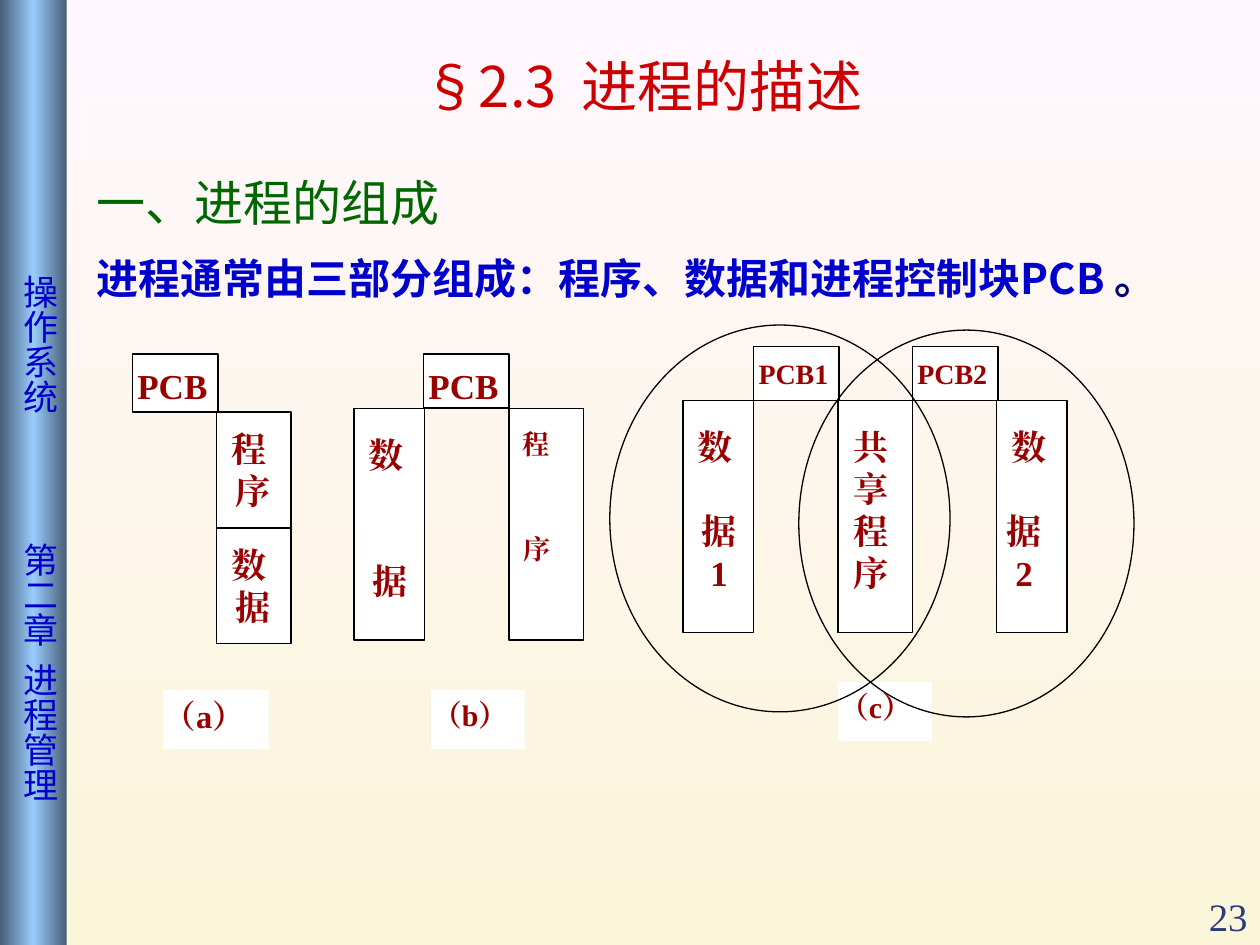
"""Build the slide on process composition with three PCB layout diagrams."""
from copy import deepcopy

from lxml import etree
from pptx import Presentation
from pptx.dml.color import RGBColor
from pptx.enum.shapes import MSO_SHAPE
from pptx.enum.text import MSO_ANCHOR, PP_ALIGN
from pptx.oxml.ns import qn
from pptx.util import Inches, Pt

RECTANGLE, OVAL = MSO_SHAPE.RECTANGLE, MSO_SHAPE.OVAL
LEFT, CENTER, RIGHT = PP_ALIGN.LEFT, PP_ALIGN.CENTER, PP_ALIGN.RIGHT
TOP, BOTTOM = MSO_ANCHOR.TOP, MSO_ANCHOR.BOTTOM
BLACK = RGBColor(0x00, 0x00, 0x00)
WHITE = RGBColor(0xFF, 0xFF, 0xFF)
PINK = RGBColor(0xFF, 0xF7, 0xFD)
CREAM = RGBColor(0xFB, 0xF5, 0xD9)
STEEL = RGBColor(0x47, 0x5E, 0x76)
SKY = RGBColor(0x99, 0xCC, 0xFF)
BLUE = RGBColor(0x00, 0x00, 0xCC)
NAVY = RGBColor(0x00, 0x00, 0x66)
SLATE = RGBColor(0x2A, 0x3D, 0x7A)
RED = RGBColor(0xCC, 0x00, 0x00)
MAROON = RGBColor(0x99, 0x00, 0x00)
GREEN = RGBColor(0x00, 0x66, 0x00)
SERIF, SANS = "Times New Roman", "Noto Sans CJK SC"


def write_text(paragraph, text, size=20, color=MAROON, font=SERIF, bold=False,
               align=LEFT, spacing=1.0, before=0, indent=0):
    paragraph.alignment = align
    paragraph.line_spacing = spacing
    if before:
        paragraph.space_before = Pt(before)
    if indent:
        paragraph._p.get_or_add_pPr().set("marL", str(Pt(indent)))
    run = paragraph.add_run()
    run.text = text
    run.font.size = Pt(size)
    run.font.bold = bold
    run.font.color.rgb = color
    run.font.name = font
    east_asian = etree.SubElement(run._r.get_or_add_rPr(), qn("a:ea"))
    east_asian.set("typeface", font)


def add_box(shapes, bounds, kind=None, fill=None, line=None,
            insets=(0.1, 0.05, 0.1, 0.05), anchor=TOP):
    position = [Inches(value) for value in bounds]
    if kind is None:
        shape = shapes.add_textbox(*position)
    else:
        shape = shapes.add_shape(kind, *position)
        shape.shadow.inherit = False
        if fill is None:
            shape.fill.background()
        else:
            shape.fill.solid()
            shape.fill.fore_color.rgb = fill
        if line is None:
            shape.line.fill.background()
        else:
            shape.line.color.rgb = line
            shape.line.width = Pt(0.75)
    frame = shape.text_frame
    frame.word_wrap = True
    frame.vertical_anchor = anchor
    (frame.margin_left, frame.margin_top,
     frame.margin_right, frame.margin_bottom) = [Inches(value) for value in insets]
    return shape


presentation = Presentation()
presentation.slide_width = Inches(10)
presentation.slide_height = Inches(7.5)
slide = presentation.slides.add_slide(presentation.slide_layouts[6])

background = slide.background.fill
background.gradient()
background.gradient_angle = 270
for stop, color, place in zip(background.gradient_stops, (PINK, CREAM), (0, 1)):
    stop.color.rgb = color
    stop.position = place

sidebar = add_box(slide.shapes, (0, 0, 0.53, 7.5), RECTANGLE, insets=(0.05, 0.1, 0.05, 0.1))
sidebar.fill.gradient()
sidebar.fill.gradient_angle = 0
stop_list = sidebar._element.find(".//" + qn("a:gsLst"))
stop_list.insert(1, deepcopy(stop_list[0]))
for stop, color, place in zip(sidebar.fill.gradient_stops, (STEEL, SKY, STEEL), (0, 0.5, 1)):
    stop.color.rgb = color
    stop.position = place
sidebar.text_frame._txBody.bodyPr.set("vert", "eaVert")
paragraph = sidebar.text_frame.paragraphs[0]
tab_list = etree.SubElement(paragraph._p.get_or_add_pPr(), qn("a:tabLst"))
for place in (2.08, 4.21, 5.16):
    etree.SubElement(tab_list, qn("a:tab"), pos=str(Inches(place)), algn="l")
write_text(paragraph, "\t操作系统\t第二章\t进程管理", color=BLUE, font=SANS)

page_number = add_box(slide.shapes, (9, 7.01, 1, 0.5), anchor=BOTTOM)
write_text(page_number.text_frame.paragraphs[0], "23", size=22.2, color=SLATE,
           align=RIGHT, spacing=0.9)

title = add_box(slide.shapes, (1.14, 0.36, 7.92, 0.64))
write_text(title.text_frame.paragraphs[0], "§2.3  进程的描述", size=32, color=RED,
           font=SANS, align=CENTER)

body = add_box(slide.shapes, (0.67, 1.23, 9, 1.23))
write_text(body.text_frame.paragraphs[0], "一、进程的组成", size=28, color=GREEN,
           font=SANS, spacing=1.2)
paragraph = body.text_frame.add_paragraph()
for text, color in (("进程通常由三部分组成：程序、数据和进程控制块PCB ", BLUE), ("。", NAVY)):
    write_text(paragraph, text, size=24, color=color, font=SANS, bold=True,
               spacing=1.2, before=6)

HEAD, TALL, SHORT = (0.04, 0.08, 0.04, 0), (0.08, 0.2, 0.04, 0), (0.08, 0.12, 0.04, 0)
SHARED, CAPTION = (0.12, 0.2, 0.04, 0), (0, 0.08, 0, 0)

# Each line is (text, indent, space before) in points.
figures = [
    [
        ((1.72, 3.27, 0.59, 0.92), SHORT, 20, 1, [("程", 2.5, 0), ("序", 5, 0)]),
        ((1.72, 4.19, 0.59, 0.92), SHORT, 20, 1, [("数", 2.5, 0), ("据", 5, 0)]),
        ((1.05, 2.81, 0.68, 0.46), HEAD, 20, 1, [("PCB", 0, 0)]),
        ((1.3, 5.48, 0.83, 0.46), CAPTION, 18.5, 0.9, [("（a）", 0, 0)]),
    ],
    [
        ((3.36, 2.81, 0.68, 0.43), HEAD, 20, 1, [("PCB", 0, 0)]),
        ((4.04, 3.24, 0.59, 1.84), TALL, 15.5, 0.8, [("程", 2, 0), ("序", 2.5, 45)]),
        ((2.81, 3.24, 0.56, 1.84), TALL, 20, 1, [("数", 2.5, 0), ("据", 5, 48)]),
        ((3.43, 5.48, 0.73, 0.46), CAPTION, 17, 0.9, [("（b）", 0, 0)]),
    ],
    [
        ((5.98, 2.75, 0.68, 0.43), HEAD, 16, 1, [("PCB1", 0, 0)]),
        ((6.65, 3.18, 0.59, 1.84), SHARED, 20, 1, [("共享程序", 0, 0)]),
        ((5.42, 3.18, 0.56, 1.84), TALL, 20, 1,
         [("数", 2.5, 0), ("据", 5, 24), ("1", 10, 0)]),
        ((7.24, 2.75, 0.68, 0.43), HEAD, 16, 1, [("PCB2", 0, 0)]),
        ((7.91, 3.18, 0.56, 1.84), TALL, 20, 1,
         [("数", 2.5, 0), ("据", 0, 24), ("2", 5, 0)]),
        ((6.66, 5.42, 0.73, 0.46), CAPTION, 17, 0.9, [("（c）", 0, 0)]),
    ],
]
for figure in figures:
    group = slide.shapes.add_group_shape()
    for bounds, insets, size, spacing, lines in figure:
        outline = WHITE if insets == CAPTION else BLACK
        shape = add_box(group.shapes, bounds, RECTANGLE, WHITE, outline, insets)
        for index, (text, indent, before) in enumerate(lines):
            frame = shape.text_frame
            paragraph = frame.add_paragraph() if index else frame.paragraphs[0]
            write_text(paragraph, text, size=size, bold=True, spacing=spacing,
                       before=before, indent=indent)

for bounds in ((4.84, 2.58, 2.7, 3.07), (6.34, 2.62, 2.66, 3.07)):
    add_box(slide.shapes, bounds, OVAL, line=BLACK)

presentation.save("out.pptx")
